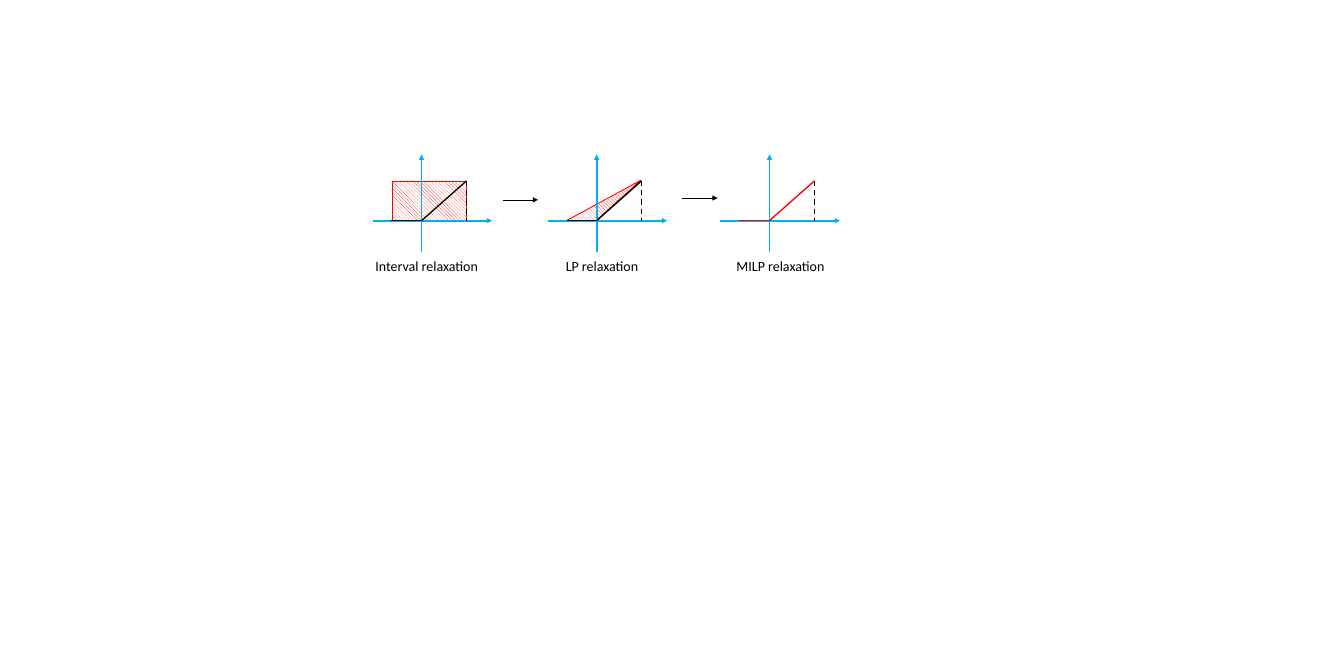
from lxml import etree
from pptx import Presentation
from pptx.dml.color import RGBColor
from pptx.enum.dml import MSO_LINE, MSO_PATTERN
from pptx.enum.shapes import MSO_CONNECTOR, MSO_SHAPE
from pptx.enum.text import MSO_AUTO_SIZE
from pptx.oxml.ns import qn
from pptx.util import Pt

STRAIGHT = MSO_CONNECTOR.STRAIGHT
RECTANGLE = MSO_SHAPE.RECTANGLE
HATCH = MSO_PATTERN.WIDE_DOWNWARD_DIAGONAL
DASH = MSO_LINE.DASH
FIT_SHAPE = MSO_AUTO_SIZE.SHAPE_TO_FIT_TEXT
BLACK = RGBColor(0x00, 0x00, 0x00)
WHITE = RGBColor(0xFF, 0xFF, 0xFF)
RED = RGBColor(0xFF, 0x00, 0x00)
BLUE = RGBColor(0x00, 0xB0, 0xF0)
FONT = "Calibri"

# Content: caption, caption left and width, x of the origin, ReLU colour
PLOTS = [
    ("Interval relaxation", 421.9, 140.4, 481.7, BLACK),
    ("LP relaxation", 639.4, 100.8, 681.8, BLACK),
    ("MILP relaxation", 834.5, 115.9, 879.3, RED),
]
# Relaxed regions: plot index, corners relative to the origin
BOX_CORNERS = (-33.1, -44.6, 51.1, 0)
TRIANGLE = [(50.4, -46.1), (-34.5, 0), (-0.7, 0)]
# Arrows between plots: start x, y
STEPS = [(574.6, 228.2), (779.8, 226.1)]
STEP_LENGTH = 40.3

# Plot geometry, relative to the origin
AXIS_Y = 252
AXIS_UP, AXIS_DOWN = 75.6, 35.3
AXIS_LEFT, AXIS_RIGHT = 56, 80.6
LOWER, UPPER, RISE = 34.4, 51.3, 45.4
CAPTION_TOP, CAPTION_HEIGHT = 290.9, 26.6

prs = Presentation()
prs.slide_width, prs.slide_height = Pt(1535.76), Pt(756)
slide = prs.slides.add_slide(prs.slide_layouts[6])
shapes = slide.shapes


def add_line(start, end, color, width, arrow=False, dashed=False):
    line = shapes.add_connector(STRAIGHT, *(Pt(v) for v in (*start, *end)))
    line.line.color.rgb = color
    line.line.width = Pt(width)
    if dashed:
        line.line.dash_style = DASH
    if arrow:
        etree.SubElement(line.line._get_or_add_ln(), qn("a:tailEnd"), type="triangle")
    etree.SubElement(line._element.spPr, qn("a:effectLst"))


def hatch(region):
    region.shadow.inherit = False
    region.fill.patterned()
    region.fill.pattern = HATCH
    region.fill.fore_color.rgb = RED
    region.fill.back_color.rgb = WHITE
    region.line.color.rgb = RED
    region.line.width = Pt(1)


# Relaxed regions
interval_x, lp_x = PLOTS[0][3], PLOTS[1][3]
left, top, right, bottom = BOX_CORNERS
hatch(shapes.add_shape(RECTANGLE, Pt(interval_x + left), Pt(AXIS_Y + top),
                       Pt(right - left), Pt(bottom - top)))
corners = [(Pt(lp_x + dx), Pt(AXIS_Y + dy)) for dx, dy in TRIANGLE]
outline = shapes.build_freeform(*corners[0])
outline.add_line_segments(corners[1:], close=True)
hatch(outline.convert_to_shape())

# Axes and ReLU curves
for _, _, _, x, relu_color in PLOTS:
    origin = (x, AXIS_Y)
    peak = (x + UPPER, AXIS_Y - RISE)
    add_line((x, AXIS_Y + AXIS_DOWN), (x, AXIS_Y - AXIS_UP), BLUE, 2, arrow=True)
    add_line((x - AXIS_LEFT, AXIS_Y), (x + AXIS_RIGHT, AXIS_Y), BLUE, 2, arrow=True)
    add_line((x - LOWER, AXIS_Y), origin, relu_color, 1.5)
    add_line(origin, peak, relu_color, 1.5)
    add_line(peak, (x + UPPER, AXIS_Y), BLACK, 1.5, dashed=True)

# Arrows between plots
for x, y in STEPS:
    add_line((x, y), (x + STEP_LENGTH, y), BLACK, 0.5, arrow=True)

# Captions
for caption, caption_left, caption_width, _, _ in PLOTS:
    frame = shapes.add_textbox(Pt(caption_left), Pt(CAPTION_TOP),
                               Pt(caption_width), Pt(CAPTION_HEIGHT)).text_frame
    frame.word_wrap = True
    frame.auto_size = FIT_SHAPE
    run = frame.paragraphs[0].add_run()
    run.text = caption
    run.font.name = FONT
    run.font.size = Pt(16)
    run.font.color.rgb = BLACK

prs.save("out.pptx")
